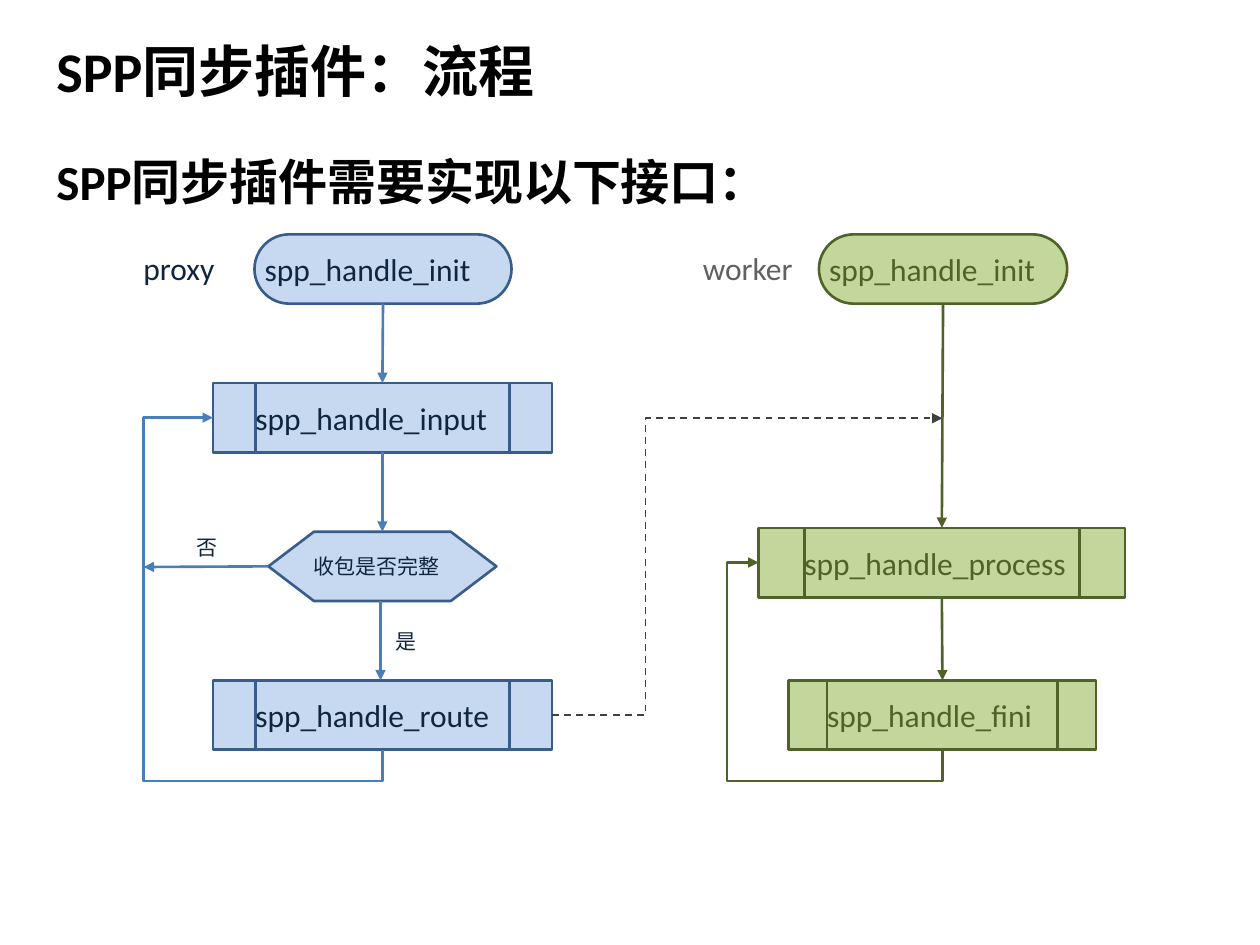
import pptx
import pptx.dml.color
import pptx.enum.dml
import pptx.enum.shapes
import pptx.enum.text
import pptx.oxml.ns
import pptx.util

Inches = pptx.util.Inches
RGBColor = pptx.dml.color.RGBColor
Shape = pptx.enum.shapes.MSO_SHAPE
Connector = pptx.enum.shapes.MSO_CONNECTOR
Anchor = pptx.enum.text.MSO_ANCHOR

BLACK = RGBColor(0x00, 0x00, 0x00)
NAVY = RGBColor(0x10, 0x25, 0x3F)
BLUE_FILL = RGBColor(0xC6, 0xD9, 0xF1)
BLUE_EDGE = RGBColor(0x38, 0x5D, 0x8A)
BLUE_ARROW = RGBColor(0x4A, 0x7E, 0xBB)
GREEN_FILL = RGBColor(0xC3, 0xD6, 0x9B)
GREEN = RGBColor(0x4F, 0x62, 0x28)
GRAY = RGBColor(0x60, 0x60, 0x60)
DARK_GRAY = RGBColor(0x40, 0x40, 0x40)

PROXY = {"fill": BLUE_FILL, "edge": BLUE_EDGE, "text": NAVY}
WORKER = {"fill": GREEN_FILL, "edge": GREEN, "text": GREEN}
NODE_HEIGHT = 0.55
LOOP_DROP = 0.25
TOP, LEFT, BOTTOM, RIGHT = range(4)


def apply(target, formats):
    for name, value in formats.items():
        setattr(target, name, value)


class FlowPage:
    font = "Calibri"

    def __init__(self, deck):
        self.page = deck.slides.add_slide(deck.slide_layouts[6])

    def put_text(self, box, text, size, color, bold=False, space_before=0, **frame):
        apply(box.text_frame, frame)
        para = box.text_frame.paragraphs[0]
        apply(para, {"alignment": pptx.enum.text.PP_ALIGN.LEFT,
                     "space_before": pptx.util.Pt(space_before)})
        span = para.add_run()
        span.text = text
        apply(span.font, {"name": self.font, "size": pptx.util.Pt(size), "bold": bold})
        span.font.color.rgb = color

    def heading(self, text, top, height, size, **formats):
        box = self.page.shapes.add_textbox(
            Inches(0.35), Inches(top), Inches(9), Inches(height))
        self.put_text(box, text, size, BLACK, bold=True, word_wrap=True, **formats)

    def label(self, text, left, top, width, height, size, color):
        box = self.page.shapes.add_textbox(
            Inches(left), Inches(top), Inches(width), Inches(height))
        self.put_text(box, text, size, color, word_wrap=False)

    def node(self, kind, text, left, top, width, look, size=18):
        box = self.page.shapes.add_shape(
            kind, Inches(left), Inches(top), Inches(width), Inches(NODE_HEIGHT))
        box.shadow.inherit = False
        box.fill.solid()
        box.fill.fore_color.rgb = look["fill"]
        box.line.color.rgb = look["edge"]
        box.line.width = pptx.util.Pt(1.5)
        if kind == Shape.ROUNDED_RECTANGLE:
            box.adjustments[0] = 0.5
        self.put_text(box, text, size, look["text"], word_wrap=True, margin_left=0,
                      margin_right=0, vertical_anchor=Anchor.MIDDLE)
        return box

    def arrow(self, color, begin=(0, 0), end=(0, 0), source=None, target=None,
              kind=Connector.STRAIGHT, width=1.5, dash=None):
        line = self.page.shapes.add_connector(
            kind, *(Inches(value) for value in (*begin, *end)))
        if source:
            line.begin_connect(*source)
        if target:
            line.end_connect(*target)
        line.line.color.rgb = color
        apply(line.line, {"width": pptx.util.Pt(width), "dash_style": dash})
        properties = line.element.spPr
        head = properties.makeelement(pptx.oxml.ns.qn("a:tailEnd"), {"type": "triangle"})
        properties.find(pptx.oxml.ns.qn("a:ln")).append(head)
        properties.append(properties.makeelement(pptx.oxml.ns.qn("a:effectLst"), {}))
        return line

    def bend(self, line, preset, *ratios):
        geometry = line.element.spPr.find(pptx.oxml.ns.qn("a:prstGeom"))
        geometry.set("prst", preset)
        guides = geometry.get_or_add_avLst()
        for number, ratio in enumerate(ratios, 1):
            guides.append(guides.makeelement(
                pptx.oxml.ns.qn("a:gd"),
                {"name": f"adj{number}", "fmla": f"val {round(ratio * 100000)}"}))

    def loop_back(self, color, source, target, turn):
        line = self.arrow(color, source=(source, BOTTOM), target=(target, LEFT),
                          kind=Connector.ELBOW)
        start, finish = line.begin_x, line.end_x
        low, high = line.begin_y, line.end_y
        length, depth = low - high, start - finish
        apply(line, {"left": (start + finish - length) // 2,
                     "top": (low + high - depth) // 2,
                     "width": length, "height": depth})
        frame = line.element.spPr.find(pptx.oxml.ns.qn("a:xfrm"))
        frame.attrib.pop("flipH", None)
        frame.set("rot", "16200000")
        frame.set("flipV", "1")
        self.bend(line, "bentConnector4", -Inches(LOOP_DROP) / length,
                  (start - Inches(turn)) / depth)

    def hand_over(self, color, source, end, ratio):
        line = self.arrow(color, end=end, source=(source, RIGHT), kind=Connector.ELBOW,
                          width=1, dash=pptx.enum.dml.MSO_LINE.DASH)
        self.bend(line, "bentConnector3", ratio)


def main():
    deck = pptx.Presentation()
    apply(deck, {"slide_width": Inches(10), "slide_height": Inches(7.5)})
    flow = FlowPage(deck)
    process = Shape.FLOWCHART_PREDEFINED_PROCESS
    rounded = Shape.ROUNDED_RECTANGLE

    flow.heading("SPP同步插件：流程", 0.13, 0.85, 32, vertical_anchor=Anchor.MIDDLE)
    flow.heading("SPP同步插件需要实现以下接口：", 1.15, 0.63, 28, space_before=7)

    proxy_init = flow.node(rounded, "spp_handle_init", 2.02, 1.86, 2.04, PROXY)
    proxy_input = flow.node(process, "spp_handle_input", 1.69, 3.04, 2.69, PROXY)
    complete = flow.node(Shape.FLOWCHART_PREPARATION, "收包是否完整",
                         2.13, 4.22, 1.81, PROXY, size=12)
    route = flow.node(process, "spp_handle_route", 1.69, 5.4, 2.69, PROXY)

    worker_init = flow.node(rounded, "spp_handle_init", 6.5, 1.86, 1.97, WORKER)
    work = flow.node(process, "spp_handle_process", 6.02, 4.19, 2.91, WORKER)
    finish = flow.node(process, "spp_handle_fini", 6.26, 5.4, 2.44, WORKER)

    for color, upper, lower in (
        (BLUE_ARROW, proxy_init, proxy_input),
        (BLUE_ARROW, proxy_input, complete),
        (GREEN, worker_init, work),
        (GREEN, work, finish),
    ):
        flow.arrow(color, source=(upper, BOTTOM), target=(lower, TOP))
    flow.arrow(BLUE_ARROW, begin=(3.02, 4.77), end=(3.02, 5.4))
    flow.arrow(BLUE_ARROW, end=(1.14, 4.5), source=(complete, LEFT))

    flow.loop_back(BLUE_ARROW, route, proxy_input, 1.14)
    flow.loop_back(GREEN, finish, work, 5.77)
    flow.hand_over(DARK_GRAY, route, (7.48, 3.32), 0.24)

    for label in (
        ("是", 3.04, 4.94, 0.36, 0.3, 12, NAVY),
        ("否", 1.46, 4.19, 0.36, 0.3, 12, NAVY),
        ("proxy", 1.04, 1.93, 0.77, 0.4, 18, NAVY),
        ("worker", 5.48, 1.93, 0.92, 0.4, 18, GRAY),
    ):
        flow.label(*label)

    deck.save("out.pptx")


if __name__ == "__main__":
    main()
